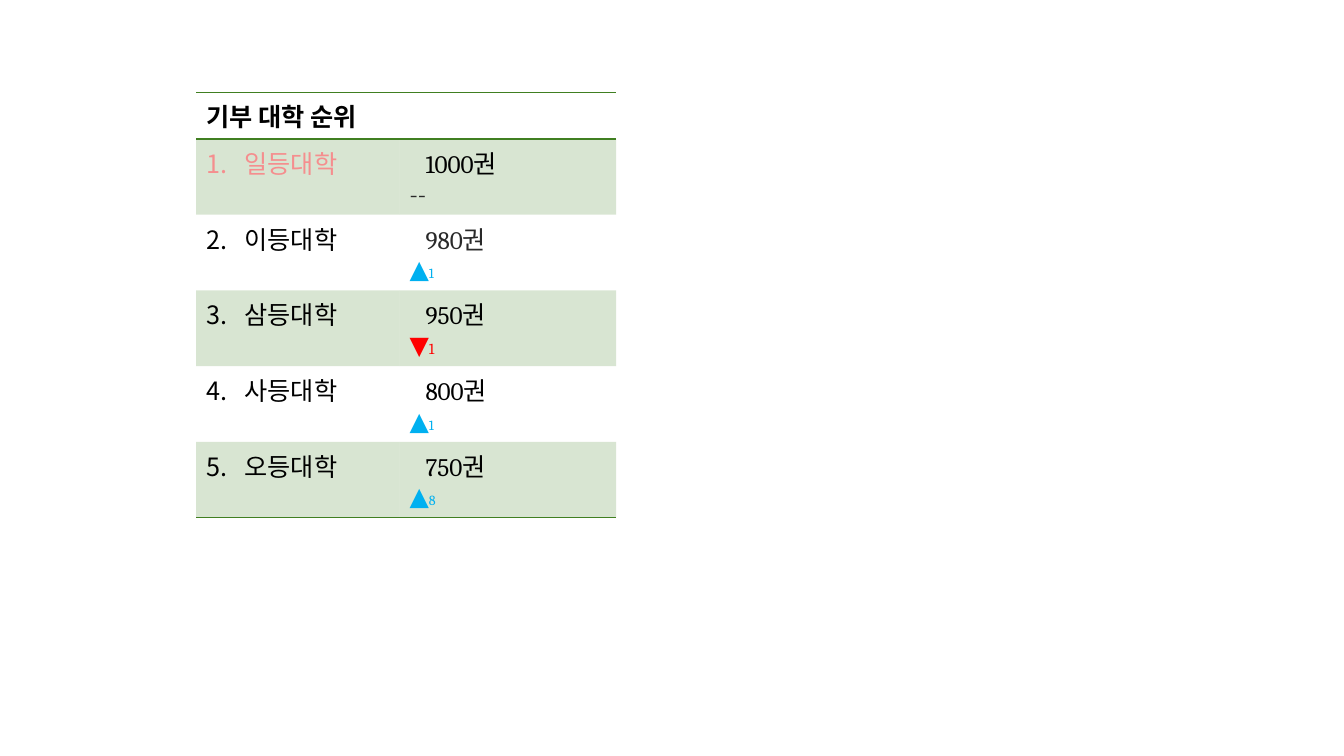
from lxml import etree
from pptx import Presentation
from pptx.dml.color import RGBColor
from pptx.oxml import parse_xml
from pptx.oxml.ns import nsdecls, qn
from pptx.util import Cm, Pt

BLACK = RGBColor(0x00, 0x00, 0x00)
CHARCOAL = RGBColor(0x29, 0x29, 0x29)
PINK = RGBColor(0xF5, 0x8E, 0x8E)
GREEN = RGBColor(0x40, 0x7F, 0x21)
BLUE = RGBColor(0x00, 0xB0, 0xF0)
RED = RGBColor(0xFF, 0x00, 0x00)
PLAIN_STYLE = "{2D5ABB26-0587-4C30-8999-92F81FD0307C}"

HEADING = "기부 대학 순위"
RANKING = [
    ("일등대학", PINK, None, "1000권", BLACK, "--", CHARCOAL, "", 10),
    ("이등대학", BLACK, "Cambria", "980권", CHARCOAL, "▲", BLUE, "1", 10),
    ("삼등대학", BLACK, None, "950권", BLACK, "▼", RED, "1", 11),
    ("사등대학", BLACK, None, "800권", BLACK, "▲", BLUE, "1", 10),
    ("오등대학", BLACK, "Cambria", "750권", BLACK, "▲", BLUE, "8", 10),
]


class RankingSlide:
    font = "Cambria"
    size = 18

    def __init__(self, slide):
        self.slide = slide

    def table(self, left, top, widths, row_height, row_count):
        frame = self.slide.shapes.add_table(
            row_count, len(widths), left, top, sum(widths), row_height * row_count)
        grid = frame.table
        grid.first_row = False
        grid.horz_banding = False
        frame._element.find(".//" + qn("a:tableStyleId")).text = PLAIN_STYLE
        for column, width in zip(grid.columns, widths):
            column.width = width
        return grid

    def run(self, paragraph, text, color, size=None, bold=False):
        font_run = paragraph.add_run()
        font_run.text = text
        font = font_run.font
        font.name = self.font
        font.size = Pt(size or self.size)
        font.bold = bold
        font.color.rgb = color

    def indent(self, paragraph, margin, first_line):
        properties = paragraph._p.get_or_add_pPr()
        properties.set("marL", str(margin))
        properties.set("indent", str(first_line))
        return properties

    def number(self, paragraph, rank, number_font):
        properties = self.indent(paragraph, Cm(0.97), -Cm(0.97))
        if number_font:
            etree.SubElement(properties, qn("a:buFont")).set("typeface", number_font)
        numbering = etree.SubElement(properties, qn("a:buAutoNum"))
        numbering.set("type", "arabicPeriod")
        numbering.set("startAt", str(rank))

    def shade(self, cell, shaded):
        if not shaded:
            cell.fill.background()
            return
        cell.fill.solid()
        cell.fill.fore_color.rgb = GREEN
        color = cell._tc.tcPr.find(".//" + qn("a:srgbClr"))
        etree.SubElement(color, qn("a:alpha")).set("val", "20000")

    def rule(self, cell, *sides):
        properties = cell._tc.get_or_add_tcPr()
        for position, side in enumerate(sides):
            properties.insert(position, parse_xml(
                f'<a:ln{side} {nsdecls("a")} w="{Pt(1)}"><a:solidFill>'
                f'<a:srgbClr val="{GREEN}"/></a:solidFill></a:ln{side}>'))


def main():
    deck = Presentation()
    deck.slide_width = Cm(33.87)
    deck.slide_height = Cm(19.05)
    page = RankingSlide(deck.slides.add_slide(deck.slide_layouts[6]))
    ranking = page.table(Cm(4.94), Cm(2.33), [Cm(5.13), Cm(5.46)], Cm(1.03),
                         len(RANKING) + 1)

    page.run(ranking.cell(0, 0).text_frame.paragraphs[0], HEADING, BLACK, bold=True)
    for column in range(2):
        page.shade(ranking.cell(0, column), False)
        page.rule(ranking.cell(0, column), "T", "B")

    for rank, entry in enumerate(RANKING, 1):
        (university, name_color, number_font, books, books_color,
         trend, trend_color, change, change_size) = entry
        name_cell, books_cell = ranking.cell(rank, 0), ranking.cell(rank, 1)

        name_line = name_cell.text_frame.paragraphs[0]
        page.number(name_line, rank, number_font)
        page.run(name_line, university, name_color)

        books_line = books_cell.text_frame.paragraphs[0]
        page.indent(books_line, 0, Cm(0.4))
        page.run(books_line, books, books_color)

        trend_line = books_cell.text_frame.add_paragraph()
        page.run(trend_line, trend, trend_color)
        if change:
            page.run(trend_line, change, trend_color, change_size)

        for cell in (name_cell, books_cell):
            page.shade(cell, rank % 2 == 1)
            if rank == len(RANKING):
                page.rule(cell, "B")

    deck.save("out.pptx")


if __name__ == "__main__":
    main()
